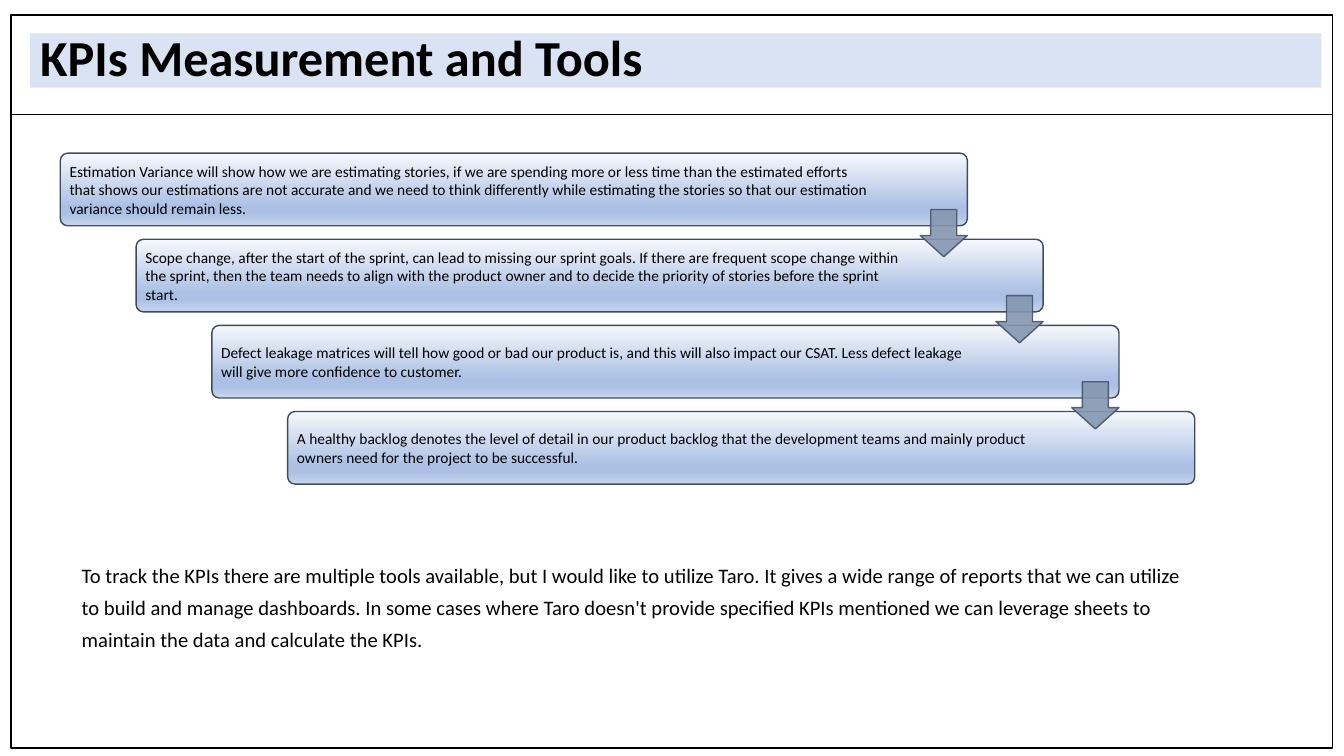
import pptx
import pptx.dml.color
import pptx.enum.shapes
import pptx.enum.text
import pptx.oxml.ns
import pptx.util
from lxml import etree
from pptx.util import Cm

COLOURS = {
    "text": "000000",
    "title": "DAE3F3",
    "step_line": "3E4C60",
    "arrow": "8497B0",
    "arrow_line": "44546A",
}
GRADIENT = [(0, "F6F8FC"), (74, "ABC0E4"), (83, "ABC0E4"), (100, "C7D5ED")]

STEP_LEFT, STEP_TOP = 1.52, 3.86
STEP_WIDTH, STEP_HEIGHT = 22.86, 1.83
SHIFT_RIGHT, SHIFT_DOWN = 1.91, 2.17
ARROW_SIZE = 1.19
ARROW_DROP = 1.42

STEPS = [
    ("Estimation Variance will show how we are estimating stories, if we are spending more or less "
     "time than the estimated efforts that shows our estimations are not accurate and we need to "
     "think differently while estimating the stories so that our estimation variance should remain "
     "less.", 2.21),
    ("Scope change, after the start of the sprint, can lead to missing our sprint goals. If there "
     "are frequent scope change within the sprint, then the team needs to align with the product "
     "owner and to decide the priority of stories before the sprint start.", 3.3),
    ("Defect leakage matrices will tell how good or bad our product is, and this will also impact "
     "our CSAT. Less defect leakage will give more confidence to customer.", 3.3),
    ("A healthy backlog denotes the level of detail in our product backlog that the development "
     "teams and mainly product owners need for the project to be successful.", 3.3),
]
NOTE = ("To track the KPIs there are multiple tools available, but I would like to utilize Taro. It "
        "gives a wide range of reports that we can utilize to build and manage dashboards. In some "
        "cases where Taro doesn't provide specified KPIs mentioned we can leverage sheets "
        "to maintain the data and calculate the KPIs.")


def colour(name):
    """Return the named colour."""
    return pptx.dml.color.RGBColor.from_string(COLOURS[name])


def set_line(shape, name, width):
    """Give a shape or connector a solid line."""
    shape.line.color.rgb = colour(name)
    shape.line.width = pptx.util.Pt(width)


def set_opacity(shape, percent):
    """Make the fill and line colours of a shape partly transparent."""
    for tint in shape._element.spPr.iter(pptx.oxml.ns.qn("a:srgbClr")):
        etree.SubElement(tint, pptx.oxml.ns.qn("a:alpha"), val=str(percent * 1000))


def set_gradient(shape):
    """Fill a shape with the step gradient from top to bottom."""
    shape.fill.gradient()
    shape.fill.gradient_angle = 270
    stops = next(shape._element.spPr.iter(pptx.oxml.ns.qn("a:gsLst")))
    for stop in list(stops):
        stops.remove(stop)
    for percent, tint in GRADIENT:
        stop = etree.SubElement(stops, pptx.oxml.ns.qn("a:gs"), pos=str(percent * 1000))
        etree.SubElement(stop, pptx.oxml.ns.qn("a:srgbClr"), val=tint)


def write_text(shape, text, size, margins, anchor, bold=False):
    """Put one left-aligned paragraph in a shape and return the paragraph."""
    frame = shape.text_frame
    frame.text = text
    frame.word_wrap = True
    frame.auto_size = pptx.enum.text.MSO_AUTO_SIZE.NONE
    frame.vertical_anchor = anchor
    frame.margin_left, frame.margin_top, frame.margin_right, frame.margin_bottom = map(Cm, margins)
    para = frame.paragraphs[0]
    para.alignment = pptx.enum.text.PP_ALIGN.LEFT
    span = para.runs[0]
    span.font.name = "Calibri"
    span.font.size = pptx.util.Pt(size)
    span.font.bold = bold
    span.font.color.rgb = colour("text")
    return para


def add_shape(page, kind, left, top, width, height):
    """Add a preset shape without shadow."""
    shape = page.shapes.add_shape(kind, Cm(left), Cm(top), Cm(width), Cm(height))
    shape.shadow.inherit = False
    return shape


def add_frame(page):
    """Add the page border and the line under the title."""
    border = add_shape(page, pptx.enum.shapes.MSO_SHAPE.RECTANGLE, 0.28, 0.38, 33.3, 18.85 - 0.38)
    border.fill.background()
    set_line(border, "text", 1)
    divider = page.shapes.add_connector(
        pptx.enum.shapes.MSO_CONNECTOR.STRAIGHT, Cm(0.28), Cm(2.87), Cm(33.58), Cm(2.87))
    set_line(divider, "text", 0.5)
    etree.SubElement(divider._element.spPr, pptx.oxml.ns.qn("a:effectLst"))


def add_title(page):
    """Place and format the title placeholder."""
    title = page.shapes.title
    title.left, title.top, title.width, title.height = Cm(0.76), Cm(0.84), Cm(32.54), Cm(1.37)
    title.fill.solid()
    title.fill.fore_color.rgb = colour("title")
    para = write_text(title, "KPIs Measurement and Tools", 36, (0.25, 0.13, 0.25, 0.13),
                      pptx.enum.text.MSO_ANCHOR.MIDDLE, bold=True)
    para.line_spacing = 0.9


def add_step(page, left, top, text, right_margin):
    """Add one rounded box of the staircase."""
    box = add_shape(page, pptx.enum.shapes.MSO_SHAPE.ROUNDED_RECTANGLE,
                    left, top, STEP_WIDTH, STEP_HEIGHT)
    box.adjustments[0] = 0.1
    set_gradient(box)
    set_line(box, "step_line", 1)
    write_text(box, text, 11, (0.18, 0.18, right_margin, 0.18), pptx.enum.text.MSO_ANCHOR.MIDDLE)


def add_arrow(page, left, top):
    """Add a down arrow leading to the next step."""
    arrow = add_shape(page, pptx.enum.shapes.MSO_SHAPE.DOWN_ARROW, left, top, ARROW_SIZE, ARROW_SIZE)
    arrow.adjustments[0] = 0.55
    arrow.adjustments[1] = 0.45
    arrow.fill.solid()
    arrow.fill.fore_color.rgb = colour("arrow")
    set_line(arrow, "arrow_line", 1)
    set_opacity(arrow, 90)


def add_staircase(page):
    """Add the steps, then the arrows over them."""
    corners = [(STEP_LEFT + SHIFT_RIGHT * index, STEP_TOP + SHIFT_DOWN * index)
               for index in range(len(STEPS))]
    for (left, top), (text, right_margin) in zip(corners, STEPS):
        add_step(page, left, top, text, right_margin)
    for left, top in corners[:-1]:
        add_arrow(page, left + STEP_WIDTH - ARROW_SIZE, top + ARROW_DROP)


def add_note(page):
    """Add the closing paragraph about tools."""
    note = page.shapes.add_textbox(Cm(1.73), Cm(13.82), Cm(28.42), Cm(2.72))
    para = write_text(note, NOTE, 14.7, (0.33, 0.18, 0.33, 0.18), pptx.enum.text.MSO_ANCHOR.TOP)
    para.line_spacing = 1.3
    para.space_before = pptx.util.Pt(12.4)


def main():
    """Build the slide and save it."""
    deck = pptx.Presentation()
    deck.slide_width, deck.slide_height = Cm(33.87), Cm(19.05)
    page = deck.slides.add_slide(deck.slide_layouts[5])
    add_frame(page)
    add_title(page)
    add_staircase(page)
    add_note(page)
    deck.save("out.pptx")


if __name__ == "__main__":
    main()
